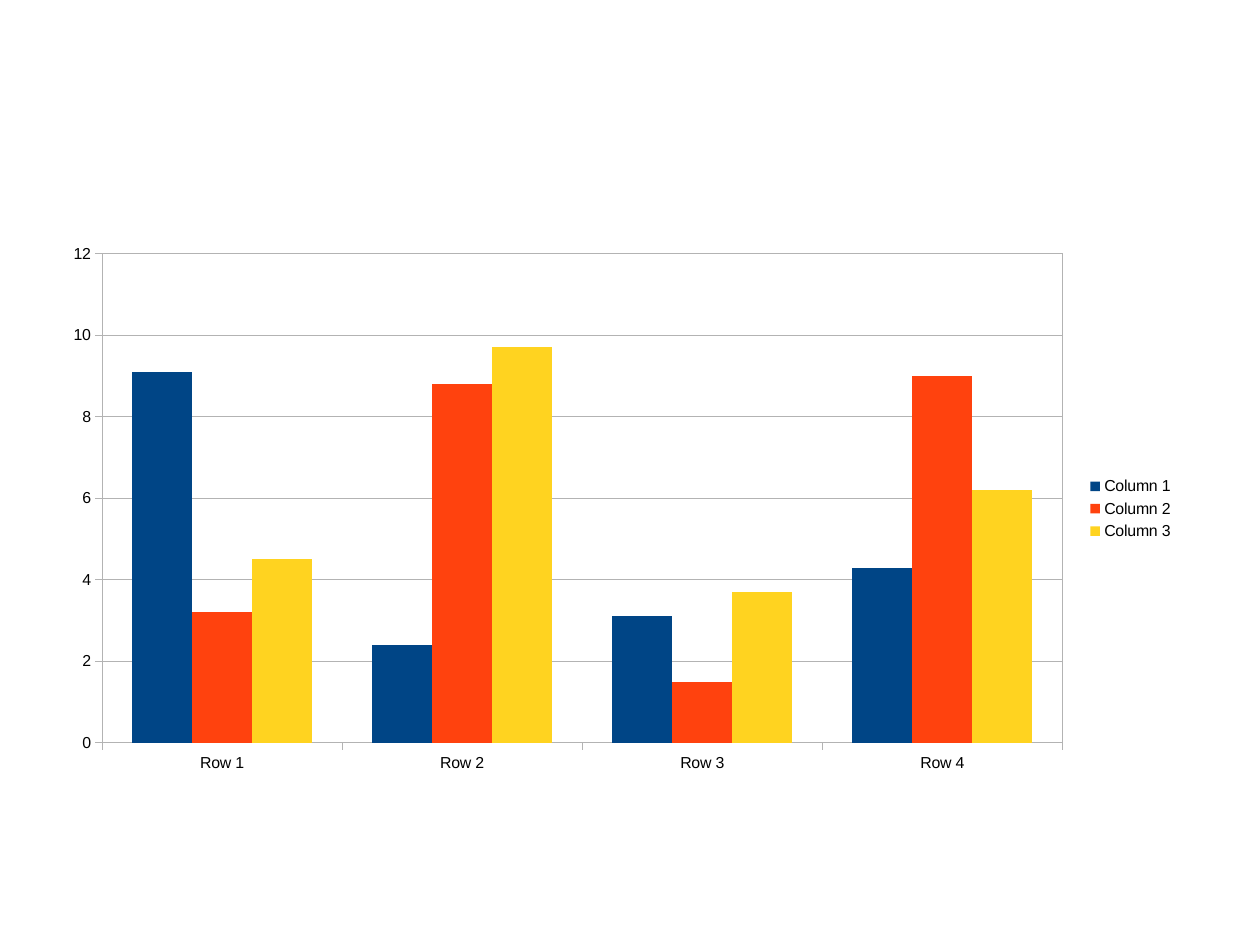
"""Build a slide with one clustered column chart."""
import dataclasses

import pptx
import pptx.chart.data
import pptx.dml.color
import pptx.enum.chart
import pptx.oxml
import pptx.oxml.ns
import pptx.util

Cm = pptx.util.Cm
Pt = pptx.util.Pt
RGB = pptx.dml.color.RGBColor.from_string


@dataclasses.dataclass(frozen=True)
class Theme:
    font: str = "Arial"
    size: int = 10
    ink: str = "000000"
    rule: str = "B3B3B3"
    bars: tuple = ("004586", "FF420E", "FFD320")


THEME = Theme()
FRAME = (1.14, 5.21, 25.2, 12.19)
PLOT = (2.27, 5.64, 21.34, 10.87)
ROWS = ("Row 1", "Row 2", "Row 3", "Row 4")
COLS = {
    "Column 1": (9.1, 2.4, 3.1, 4.3),
    "Column 2": (3.2, 8.8, 1.5, 9),
    "Column 3": (4.5, 9.7, 3.7, 6.2),
}


def set_font(font):
    font.name = THEME.font
    font.size = Pt(THEME.size)
    font.color.rgb = RGB(THEME.ink)


def set_line(line):
    line.color.rgb = RGB(THEME.rule)
    line.width = Pt(0)


def set_axis(axis, grid):
    marks = pptx.enum.chart.XL_TICK_MARK
    axis.major_tick_mark = marks.OUTSIDE
    axis.minor_tick_mark = marks.NONE
    axis.has_major_gridlines = grid
    if grid:
        set_line(axis.major_gridlines.format.line)
    set_line(axis.format.line)
    set_font(axis.tick_labels.font)


def set_plot(chart):
    area = chart.element.chart.plotArea
    for old in area.findall(pptx.oxml.ns.qn("c:layout")):
        area.remove(old)
    left, top, width, height = FRAME
    x, y, w, h = PLOT
    parts = {"x": (x - left) / width, "y": (y - top) / height,
             "w": w / width, "h": h / height}
    sizes = "".join(f'<c:{key} val="{val:.4f}"/>' for key, val in parts.items())
    names = pptx.oxml.ns.nsdecls("c", "a")
    area.insert(0, pptx.oxml.parse_xml(
        f'<c:layout {names}><c:manualLayout><c:layoutTarget val="inner"/>'
        f'<c:xMode val="edge"/><c:yMode val="edge"/>{sizes}'
        f'</c:manualLayout></c:layout>'))
    area.append(pptx.oxml.parse_xml(
        f'<c:spPr {names}><a:noFill/><a:ln w="0"><a:solidFill>'
        f'<a:srgbClr val="{THEME.rule}"/></a:solidFill></a:ln></c:spPr>'))


def add_bars(slide):
    data = pptx.chart.data.CategoryChartData()
    data.categories = ROWS
    for name, vals in COLS.items():
        data.add_series(name, vals)
    kind = pptx.enum.chart.XL_CHART_TYPE.COLUMN_CLUSTERED
    chart = slide.shapes.add_chart(kind, *map(Cm, FRAME), data).chart
    chart.has_title = False
    set_font(chart.font)
    plot = chart.plots[0]
    plot.gap_width = 100
    plot.overlap = 0
    plot.vary_by_categories = False
    for bar, color in zip(plot.series, THEME.bars):
        bar.format.fill.solid()
        bar.format.fill.fore_color.rgb = RGB(color)
        bar.format.line.fill.background()
    set_axis(chart.category_axis, False)
    axis = chart.value_axis
    set_axis(axis, True)
    axis.minimum_scale, axis.maximum_scale, axis.major_unit = 0, 12, 2
    chart.has_legend = True
    chart.legend.position = pptx.enum.chart.XL_LEGEND_POSITION.RIGHT
    chart.legend.include_in_layout = False
    set_font(chart.legend.font)
    set_plot(chart)


def main():
    deck = pptx.Presentation()
    deck.slide_width, deck.slide_height = Cm(28), Cm(21)
    slide = deck.slides.add_slide(deck.slide_layouts[6])
    add_bars(slide)
    deck.save("out.pptx")


if __name__ == "__main__":
    main()
